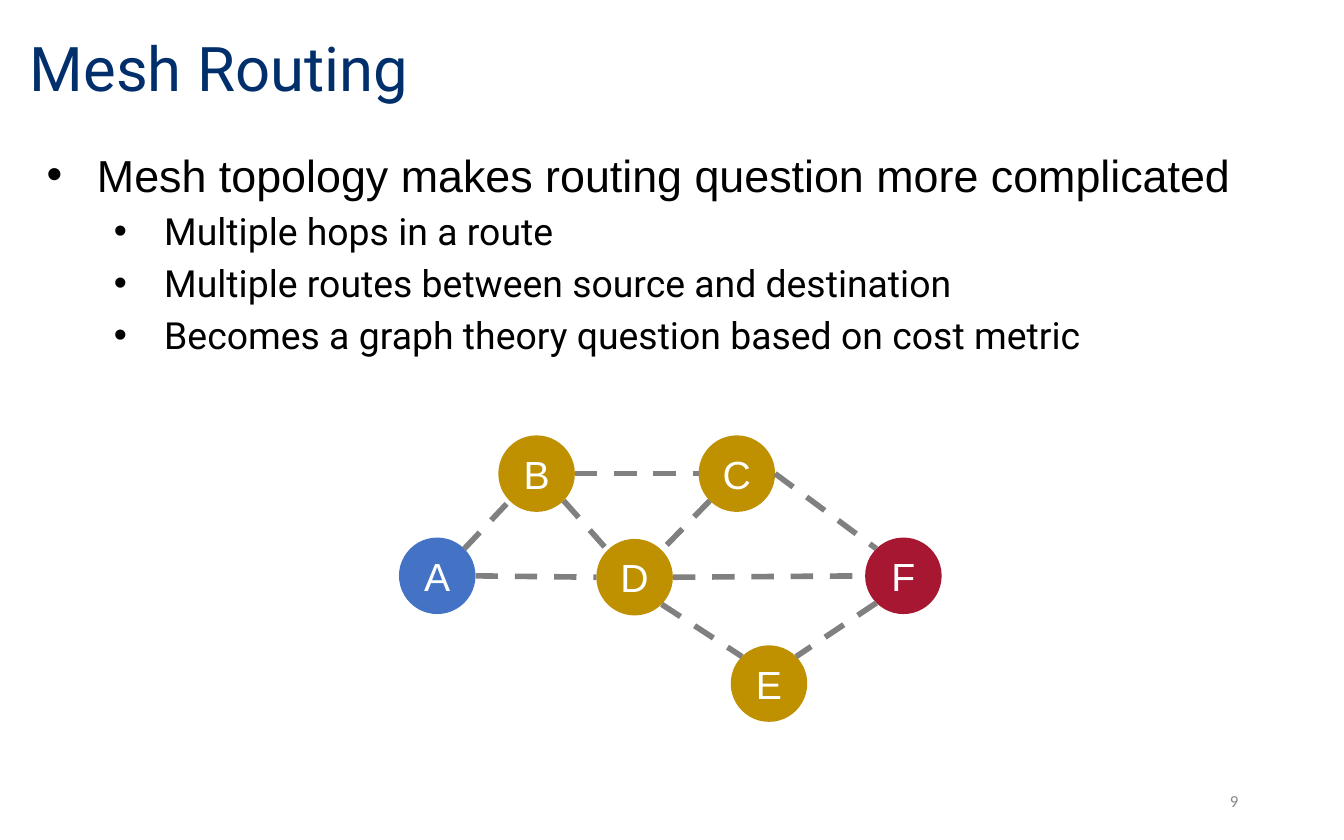
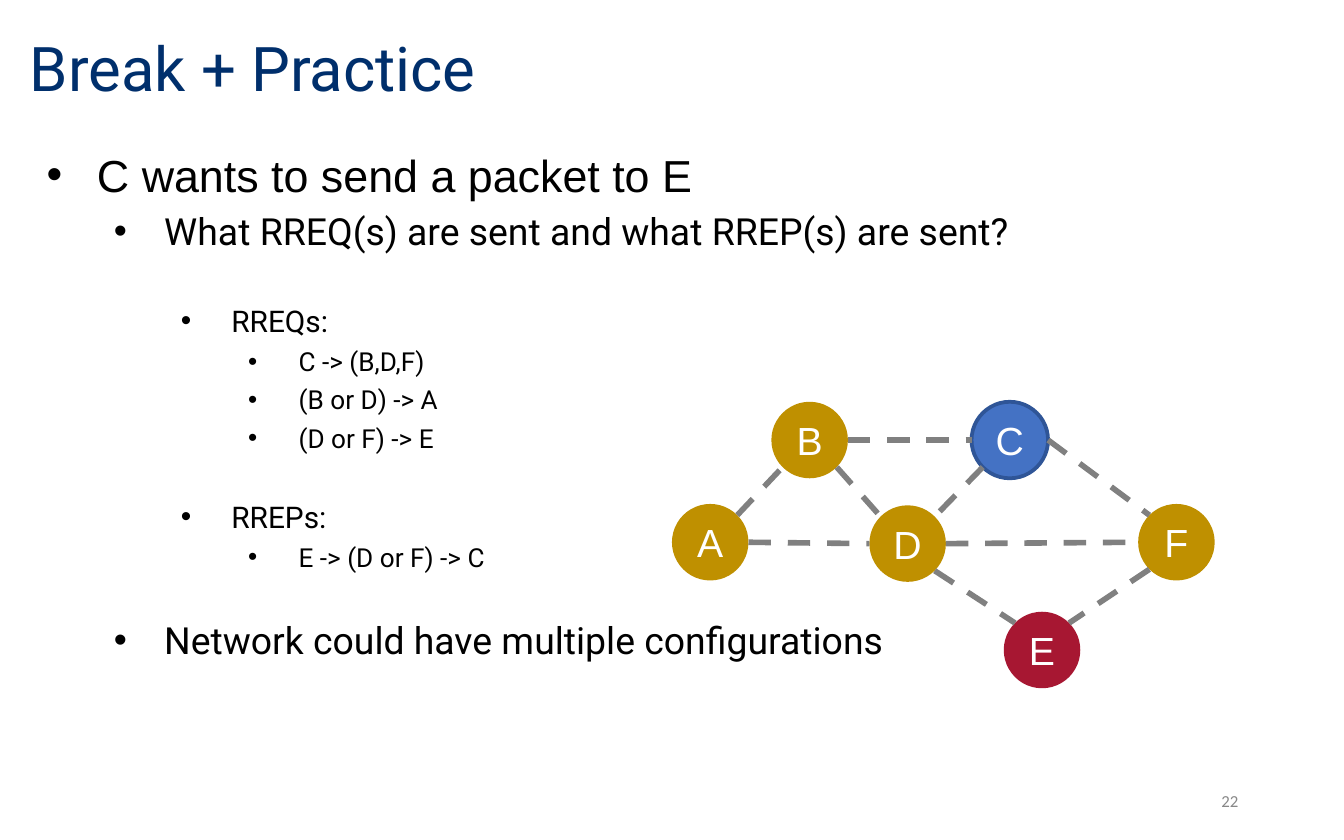
"""Build two slides about routing in a mesh network."""
from dataclasses import dataclass, field
from math import cos, radians, sin
from typing import Any

from lxml.etree import SubElement
from pptx import Presentation
from pptx.dml.color import RGBColor
from pptx.enum.dml import MSO_LINE_DASH_STYLE as Dash
from pptx.enum.shapes import MSO_CONNECTOR as Connector, MSO_SHAPE as Shape
from pptx.enum.text import MSO_ANCHOR as Anchor, MSO_AUTO_SIZE as AutoSize, PP_ALIGN as Align
from pptx.oxml.ns import qn
from pptx.util import Pt

NAVY, BLACK, WHITE = "002F6C", "000000", "FFFFFF"
BLUE, DARK_BLUE, GOLD, RED = "4472C4", "2F5597", "BF9000", "A71732"
GRAY, PALE_GRAY = "808080", "888888"

TITLE_FONT = {"name": "Roboto", "size": Pt(33)}
PAGE_FONT = {"name": "Calibri", "size": Pt(9)}
NODE_FONT = {"name": "Arial", "size": Pt(21)}
LEVEL_FONTS = [{"name": "Arial", "size": Pt(24)}] + [
    {"name": "Roboto", "size": Pt(size)} for size in (20, 16, 14)
]
LEVEL_INDENT, HANGING = 36, 27

NODE_SIZE = 41
NODE_OFFSETS = {
    "A": (0, 54.75), "B": (53.25, 0), "C": (160.5, 0),
    "D": (105.75, 55.5), "E": (177.75, 112.5), "F": (249.75, 54.75),
}
SITE_ANGLES = {"E": 0, "SE": 45, "SW": 135, "W": 180, "NW": 225, "NE": 315}


@dataclass(frozen=True)
class Item:
    text: str
    level: int = 1
    before: float = 3.75


@dataclass(frozen=True)
class Link:
    start: str
    start_site: str
    end: str
    end_site: str


@dataclass(frozen=True)
class Page:
    title: str
    number: int
    items: list[Item]
    left: float
    top: float
    fills: dict[str, str]
    outlines: dict[str, str] = field(default_factory=dict)


LINKS = [
    Link("A", "NE", "B", "SW"), Link("B", "E", "C", "W"), Link("B", "SE", "D", "NW"),
    Link("C", "SW", "D", "NE"), Link("C", "E", "F", "NW"), Link("D", "E", "F", "W"),
    Link("D", "SE", "E", "NW"), Link("F", "SW", "E", "NE"), Link("A", "E", "D", "W"),
]

PAGES = [
    Page("Mesh Routing", 9, [
        Item("Mesh topology makes routing question more complicated", 0, 0),
        Item("Multiple hops in a route"),
        Item("Multiple routes between source and destination"),
        Item("Becomes a graph theory question based on cost metric"),
    ], 213.75, 233.25, {"A": BLUE, "F": RED}),
    Page("Break + Practice", 22, [
        Item("C wants to send a packet to E", 0, 0),
        Item("What RREQ(s) are sent and what RREP(s) are sent?"),
        Item("RREQs:", 2, 26.5),
        Item("C -> (B,D,F)", 3),
        Item("(B or D) -> A", 3),
        Item("(D or F) -> E", 3),
        Item("RREPs:", 2, 24),
        Item("E -> (D or F) -> C", 3),
        Item("Network could have multiple configurations", 1, 24),
    ], 360, 215.25, {"C": BLUE, "E": RED}, {"C": DARK_BLUE}),
]


def color(value: str) -> RGBColor:
    return RGBColor.from_string(value)


def apply(target: Any, values: dict[str, Any]) -> None:
    for name, value in values.items():
        setattr(target, name, value)


def place(box: Any, left: float, top: float, width: float, height: float) -> None:
    apply(box, {"left": Pt(left), "top": Pt(top), "width": Pt(width), "height": Pt(height)})


def write(para: Any, text: str, font: dict[str, Any], ink: str) -> None:
    span = para.add_run()
    span.text = text
    apply(span.font, font)
    span.font.color.rgb = color(ink)


def add_bullet(para: Any, level: int) -> None:
    properties = para._p.get_or_add_pPr()
    properties.set("marL", str(Pt(LEVEL_INDENT * (level + 1))))
    properties.set("indent", str(Pt(-HANGING)))
    bullet_color = SubElement(properties, qn("a:buClr"))
    SubElement(bullet_color, qn("a:srgbClr"), val=BLACK)
    SubElement(properties, qn("a:buFont"), typeface="Arial")
    SubElement(properties, qn("a:buChar"), char="•")


def add_title(slide: Any, text: str) -> None:
    box = slide.shapes.title
    place(box, 8.75, 7.25, 613.5, 62)
    apply(box.text_frame, {"vertical_anchor": Anchor.MIDDLE, "auto_size": AutoSize.NONE})
    para = box.text_frame.paragraphs[0]
    apply(para, {"alignment": Align.LEFT, "line_spacing": 0.9})
    write(para, text, TITLE_FONT, NAVY)


def add_list(slide: Any, items: list[Item]) -> None:
    box = slide.placeholders[1]
    place(box, 8.75, 75.5, 703.5, 329.75)
    frame = box.text_frame
    apply(frame, {"vertical_anchor": Anchor.TOP, "auto_size": AutoSize.NONE})
    for index, item in enumerate(items):
        para = frame.add_paragraph() if index else frame.paragraphs[0]
        apply(para, {"level": item.level, "space_before": Pt(item.before)})
        add_bullet(para, item.level)
        write(para, item.text, LEVEL_FONTS[item.level], BLACK)


def add_page_number(slide: Any, number: int) -> None:
    box = slide.shapes.add_textbox(Pt(508.5), Pt(417), Pt(162), Pt(23.75))
    apply(box.text_frame, {"word_wrap": True, "vertical_anchor": Anchor.MIDDLE})
    para = box.text_frame.paragraphs[0]
    para.alignment = Align.RIGHT
    write(para, str(number), PAGE_FONT, PALE_GRAY)


def add_node(slide: Any, page: Page, name: str) -> None:
    x, y = NODE_OFFSETS[name]
    node = slide.shapes.add_shape(
        Shape.OVAL, Pt(page.left + x), Pt(page.top + y), Pt(NODE_SIZE), Pt(NODE_SIZE))
    node.shadow.inherit = False
    node.fill.solid()
    node.fill.fore_color.rgb = color(page.fills.get(name, GOLD))
    if name in page.outlines:
        node.line.color.rgb = color(page.outlines[name])
        node.line.width = Pt(2)
    else:
        node.line.fill.background()
    margins = {f"margin_{side}": 0 for side in ("left", "top", "right", "bottom")}
    apply(node.text_frame, {"vertical_anchor": Anchor.MIDDLE, **margins})
    para = node.text_frame.paragraphs[0]
    para.alignment = Align.CENTER
    write(para, name, NODE_FONT, WHITE)


def site_point(page: Page, name: str, site: str) -> tuple[int, int]:
    x, y = NODE_OFFSETS[name]
    angle, radius = radians(SITE_ANGLES[site]), NODE_SIZE / 2
    return (Pt(page.left + x + radius * (1 + cos(angle))),
            Pt(page.top + y + radius * (1 + sin(angle))))


def add_link(slide: Any, page: Page, link: Link) -> None:
    line = slide.shapes.add_connector(
        Connector.STRAIGHT,
        *site_point(page, link.start, link.start_site),
        *site_point(page, link.end, link.end_site))
    line.line.color.rgb = color(GRAY)
    apply(line.line, {"width": Pt(3), "dash_style": Dash.DASH})
    SubElement(line._element.spPr, qn("a:effectLst"))


def add_page(deck: Any, page: Page) -> None:
    slide = deck.slides.add_slide(deck.slide_layouts[1])
    add_title(slide, page.title)
    add_list(slide, page.items)
    add_page_number(slide, page.number)
    for name in NODE_OFFSETS:
        add_node(slide, page, name)
    for link in LINKS:
        add_link(slide, page, link)


def main() -> None:
    deck = Presentation()
    apply(deck, {"slide_width": Pt(720), "slide_height": Pt(450)})
    for page in PAGES:
        add_page(deck, page)
    deck.save("out.pptx")


if __name__ == "__main__":
    main()
